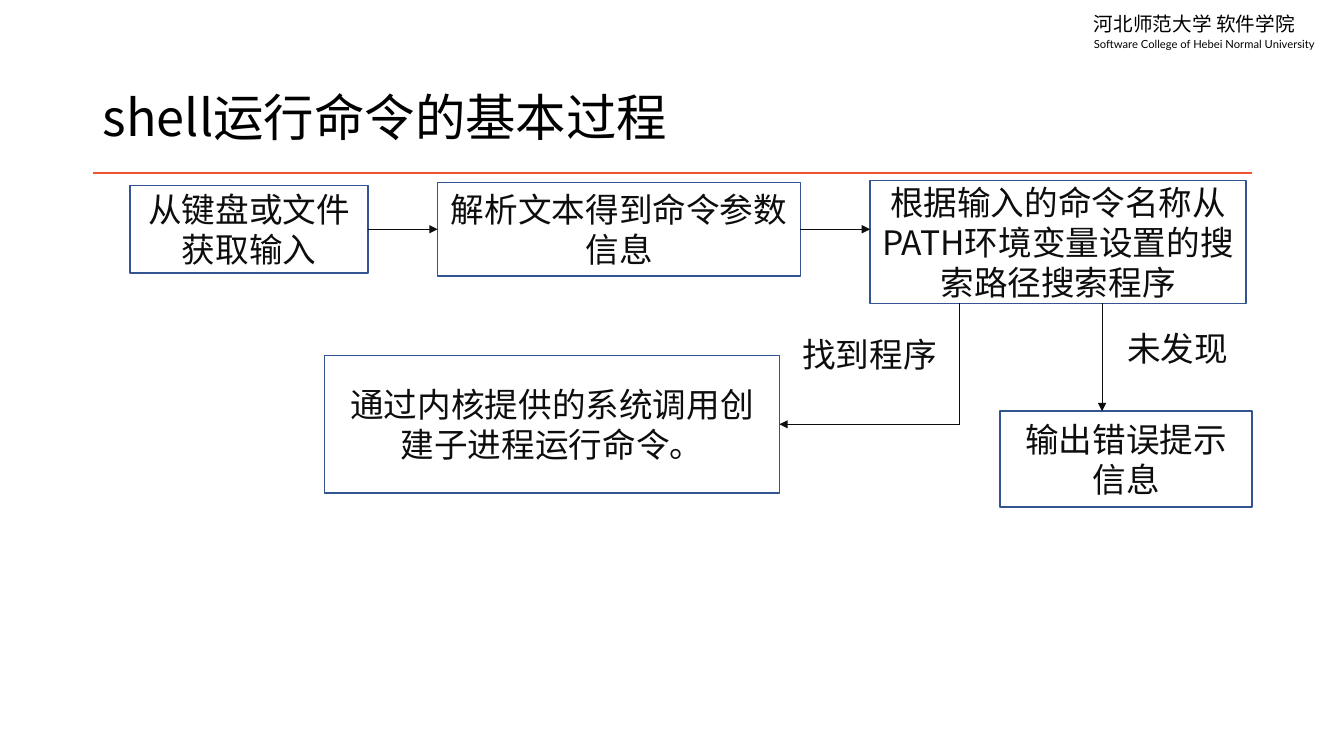
from lxml.etree import SubElement
from pptx import Presentation
from pptx.dml.color import RGBColor
from pptx.enum.shapes import MSO_CONNECTOR as Link, MSO_SHAPE as Preset
from pptx.enum.text import MSO_ANCHOR as Anchor, PP_ALIGN as Align
from pptx.oxml.ns import qn
from pptx.util import Inches, Pt

WHITE = RGBColor(0xFF, 0xFF, 0xFF)
BLACK = RGBColor(0, 0, 0)
INK = RGBColor(0x0D, 0x0D, 0x0D)
BLUE = RGBColor(0x32, 0x54, 0x91)
ORANGE = RGBColor(0xF0, 0x53, 0x2E)
CJK, LATIN = "Noto Sans CJK SC", "Lato"

# Content; all lengths are percent of the slide's width or height
TITLE = "shell运行命令的基本过程"
COLLEGE = [("河北师范大学 软件学院", 14, CJK, None),
           ("Software College of Hebei Normal University", 8, LATIN, Pt(10.8))]
STEPS = [  # text, width, height, vertical centre
    ("从键盘或文件获取输入", 17.7, 11.6, 30.33),
    ("解析文本得到命令参数信息", 27, 12.4, 30.33),
    ("根据输入的命令名称从PATH环境变量设置的搜索路径搜索程序", 27.98, 16.27, 32),
]
RESULTS = [  # text, left, width, height, vertical centre
    ("输出错误提示信息", 74.42, 18.75, 12.67, 60.73),
    ("通过内核提供的系统调用创建子进程运行命令。", 24.16, 33.83, 18.13, 56.13),
]
ANSWERS = [
    ("未发现", 82.67, 9.9, 5.2, 46),
    ("找到程序", 58.66, 12.08, 5.87, 46.8),
]
LEFT, RIGHT, RULE_Y = 6.9, 93.17, 22.93
FIRST_STEP, STEP_GAP = 9.68, 5.18
FOUND_X, MISSING_X = 71.4, 82

deck = Presentation()
deck.slide_width, deck.slide_height = Inches(13.33), Inches(7.5)
slide = deck.slides.add_slide(deck.slide_layouts[6])
shapes = slide.shapes


def across(share):
    return round(deck.slide_width * share / 100)


def down(share):
    return round(deck.slide_height * share / 100)


def write(paragraph, text, size, color, font=CJK):
    run = paragraph.add_run()
    run.text = text
    run.font.size, run.font.name = Pt(size), font
    run.font.color.rgb = color
    SubElement(run.font._element, qn("a:ea")).set("typeface", font)


def add_text(left, top, width, height):
    frame = shapes.add_textbox(across(left), down(top), across(width), down(height)).text_frame
    frame.word_wrap = True
    return frame


def add_box(text, left, width, height, centre, border):
    box = shapes.add_shape(Preset.RECTANGLE, across(left), down(centre - height / 2),
                           across(width), down(height))
    box.shadow.inherit = False
    box.fill.solid()
    box.fill.fore_color.rgb = WHITE
    box.line.color.rgb, box.line.width = border, Pt(1)
    frame = box.text_frame
    frame.word_wrap, frame.vertical_anchor = True, Anchor.MIDDLE
    frame.paragraphs[0].alignment = Align.CENTER
    write(frame.paragraphs[0], text, 24, INK)
    return box


def add_line(x1, y1, x2, y2, color=INK, weight=0.5, arrow=True):
    line = shapes.add_connector(Link.STRAIGHT, x1, y1, x2, y2)
    line.line.color.rgb, line.line.width = color, Pt(weight)
    if arrow:
        SubElement(line.line._get_or_add_ln(), qn("a:tailEnd")).set("type", "triangle")
    SubElement(line._element.spPr, qn("a:effectLst"))
    return line


# Header and title
add_line(across(LEFT), down(RULE_Y), across(RIGHT), down(RULE_Y), ORANGE, 1.5, arrow=False)
college = add_text(80.65, 0.93, 18.68, 6.53)
for i, (name, size, font, spacing) in enumerate(COLLEGE):
    paragraph = college.add_paragraph() if i else college.paragraphs[0]
    paragraph.line_spacing = spacing
    write(paragraph, name, size, BLACK, font)
title = add_text(LEFT, 10.8, RIGHT - LEFT, 10.27)
title.vertical_anchor = Anchor.MIDDLE
title.paragraphs[0].line_spacing = 0.9
write(title.paragraphs[0], TITLE, 36, BLACK)

# Boxes: the steps run left to right with equal gaps
steps, left = [], FIRST_STEP
for text, width, height, centre in STEPS:
    steps.append(add_box(text, left, width, height, centre, BLUE))
    left += width + STEP_GAP
read, split, search = steps
error, execute = [add_box(*result, BLUE) for result in RESULTS]
for answer in ANSWERS:
    add_box(*answer, WHITE)

# Arrows between the steps
flow_y = read.top + read.height // 2
to_split = add_line(read.left + read.width, flow_y, split.left, flow_y)
to_split.begin_connect(read, 3)
to_split.end_connect(split, 1)
to_search = add_line(split.left + split.width, flow_y, search.left, flow_y)
to_search.begin_connect(split, 3)

# Branches below the search
search_bottom = search.top + search.height
execute_y = execute.top + execute.height // 2
add_line(across(MISSING_X), search_bottom, across(MISSING_X), error.top)
add_line(across(FOUND_X), search_bottom, across(FOUND_X), execute_y, arrow=False)
to_execute = add_line(across(FOUND_X), execute_y, execute.left + execute.width, execute_y)
to_execute.end_connect(execute, 3)

deck.save("out.pptx")
